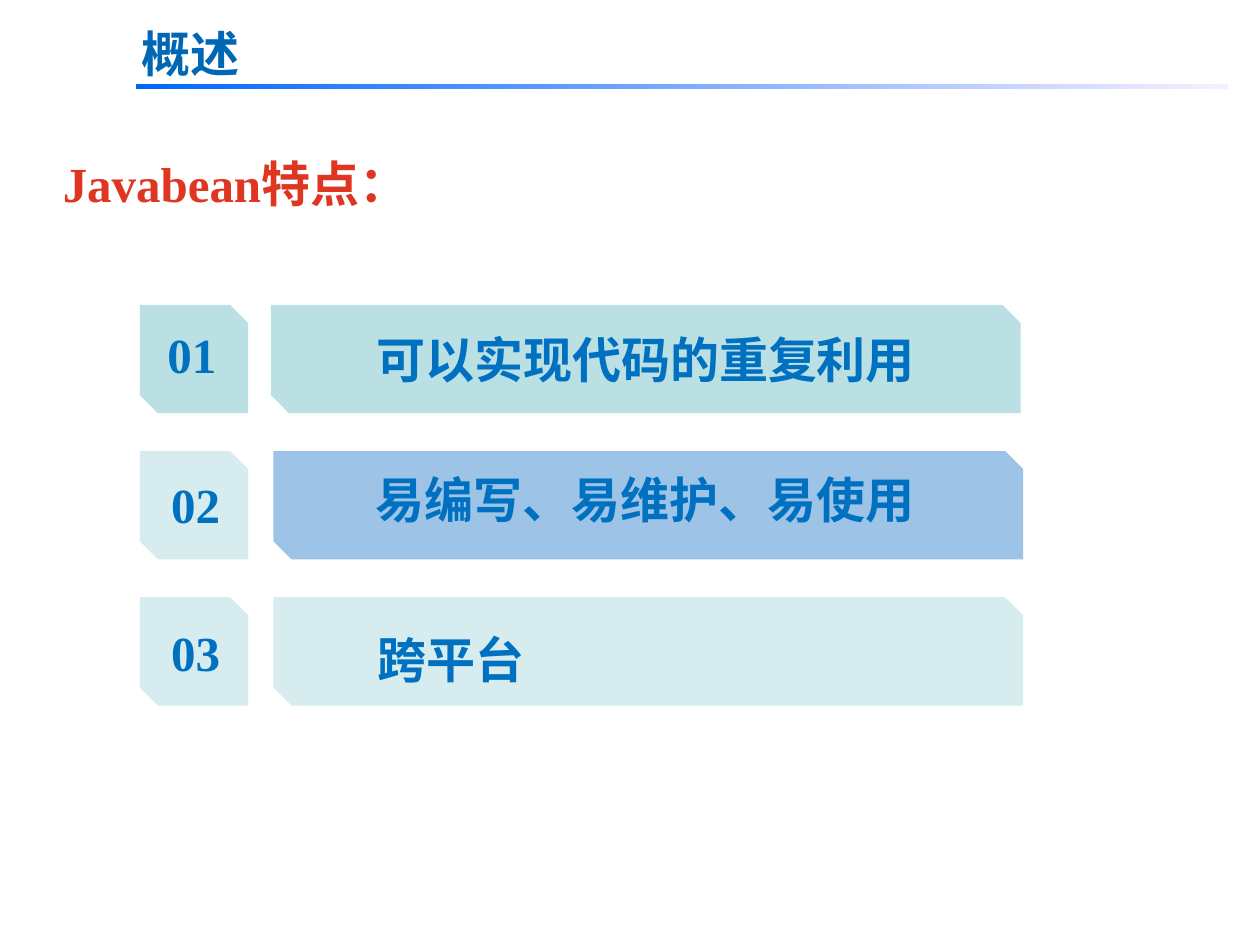
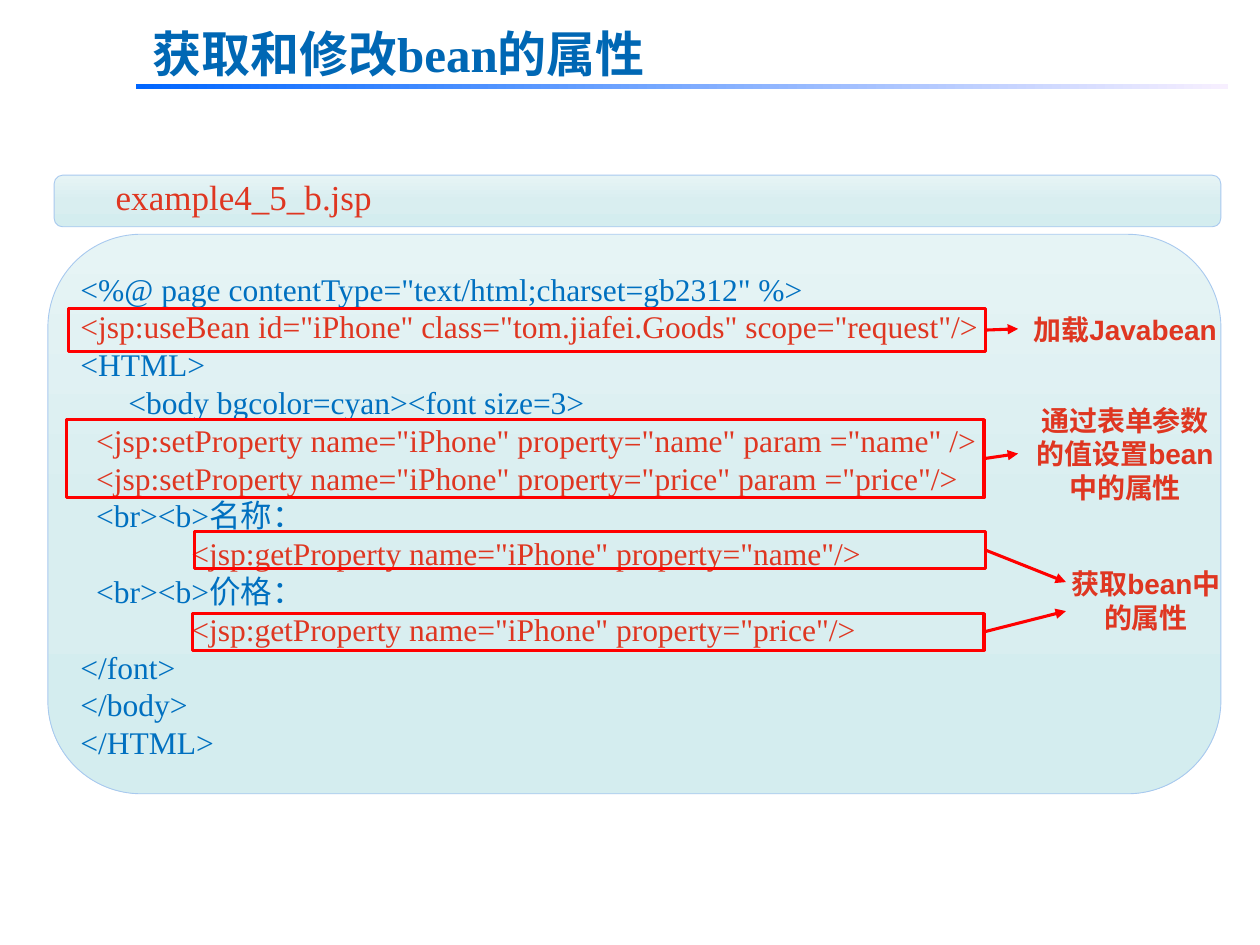
from copy import deepcopy
from dataclasses import dataclass

from lxml import etree
from pptx import Presentation, util as u
from pptx.dml.color import RGBColor
from pptx.enum import shapes, text
from pptx.oxml.ns import qn

COLORS = {
    "title": "0067B4", "blue": "0070C0", "red": "DF3621", "frame": "FF0000",
    "teal": "BBE0E3", "pale": "D6ECEE", "sky": "9DC3E6", "edge": "A8C9EF",
    "band_start": "0066FF", "band_end": "F7EFFF",
    "panel_top": "E6F4F5", "panel_middle": "D9EEF0", "panel_bottom": "D4EDEF",
}
SERIF, SANS = "Times New Roman", "Arial"
KIND, ALIGN = shapes.MSO_SHAPE, text.PP_ALIGN

# The slide is a grid of 100 columns and 75 rows
SLIDE_WIDTH, SLIDE_HEIGHT = u.Inches(10), u.Inches(7.5)
COLUMN, ROW = SLIDE_WIDTH / 100, SLIDE_HEIGHT / 75


@dataclass
class Box:
    """A region measured in grid columns and rows."""
    left: float
    top: float
    width: float
    height: float

    def inside(self, left, top, width, height):
        return Box(self.left + left, self.top + top, width, height)

    def emu(self):
        return (round(self.left * COLUMN), round(self.top * ROW),
                round(self.width * COLUMN), round(self.height * ROW))


def rgb(name):
    return RGBColor.from_string(COLORS[name])


def format_runs(paragraph, size, color, bold=False, font=SERIF):
    for run in paragraph.runs:
        run.font.size, run.font.bold, run.font.name = u.Pt(size), bold, font
        run.font.color.rgb = rgb(color)


def fill_gradient(shape, colors, angle):
    shape.fill.gradient()
    shape.fill.gradient_angle = angle
    stops = shape.fill.gradient_stops
    if len(colors) == 3:
        first = shape._element.spPr.find(".//" + qn("a:gs"))
        first.addnext(deepcopy(first))
        stops = shape.fill.gradient_stops
    for index, (stop, color) in enumerate(zip(stops, colors)):
        stop.position = index / (len(colors) - 1)
        stop.color.rgb = rgb(color)


def add_shape(slide, kind, box, fill=None, gradient=None, angle=0, line=None, line_width=0):
    shape = slide.shapes.add_shape(kind, *box.emu())
    shape.shadow.inherit = False
    if gradient:
        fill_gradient(shape, gradient, angle)
    elif fill:
        shape.fill.solid()
        shape.fill.fore_color.rgb = rgb(fill)
    else:
        shape.fill.background()
    if line:
        shape.line.color.rgb = rgb(line)
        shape.line.width = u.Pt(line_width)
    else:
        shape.line.fill.background()
    return shape


def add_text(slide, box, lines, size, color, bold=True, font=SERIF, align=ALIGN.LEFT, wrap=True):
    frame = slide.shapes.add_textbox(*box.emu()).text_frame
    frame.word_wrap = wrap
    frame.text = "\n".join(lines)
    for paragraph in frame.paragraphs:
        paragraph.alignment = align
        format_runs(paragraph, size, color, bold, font)
    return frame.paragraphs


def add_arrow(slide, start, end):
    (x1, y1), (x2, y2) = start, end
    arrow = slide.shapes.add_connector(
        shapes.MSO_CONNECTOR.STRAIGHT, round(x1 * COLUMN), round(y1 * ROW),
        round(x2 * COLUMN), round(y2 * ROW))
    arrow.line.color.rgb = rgb("frame")
    arrow.line.width = u.Pt(1.75)
    etree.SubElement(arrow.line._get_or_add_ln(), qn("a:tailEnd"), type="triangle")
    etree.SubElement(arrow._element.spPr, qn("a:effectLst"))


def add_titled_slide(presentation, title, indent=1):
    """Slide with the shared title and gradient band."""
    slide = presentation.slides.add_slide(presentation.slide_layouts[5])
    add_shape(slide, KIND.RECTANGLE, Box(10.8, 6.7, 86.7, 0.4),
              gradient=("band_start", "band_end"))
    placeholder = slide.shapes.title
    box = Box(10.2, 1.4, 50.9, 5.7).emu()
    placeholder.left, placeholder.top, placeholder.width, placeholder.height = box
    frame = placeholder.text_frame
    frame.text = title
    frame.auto_size = text.MSO_AUTO_SIZE.NONE
    frame.vertical_anchor = text.MSO_ANCHOR.TOP
    frame.margin_left = round(indent * COLUMN)
    frame.paragraphs[0].alignment = ALIGN.LEFT
    format_runs(frame.paragraphs[0], 28, "title", True)
    return slide


# Slide 1: numbered features
# number, number fill, bar fill, bar left, number offset, label, label box (None: in the bar)
FEATURES = [
    ("01", "teal", "teal", 10.4, (1.2, 1.1), "可以实现代码的重复利用", None),
    ("02", "pale", "sky", 10.6, (1.5, 1.4), "易编写、易维护、易使用", (17.4, 1, 45.4, 10.4)),
    ("03", "pale", "pale", 10.6, (1.5, 1.5), "跨平台", (17.9, -0.3, 13.8, 7.2)),
]


def add_feature(slide, row, feature):
    number, number_fill, bar_fill, bar_left, offset, label, label_box = feature
    add_shape(slide, KIND.SNIP_2_DIAG_RECTANGLE,
              row.inside(0, 0, row.height, row.height), number_fill)
    bar = add_shape(slide, KIND.SNIP_2_DIAG_RECTANGLE,
                    row.inside(bar_left, 0, 59.5, row.height), bar_fill)
    add_text(slide, row.inside(*offset, 6.9, 5.7), [number], 28, "blue", wrap=False)
    if label_box:
        align = ALIGN.CENTER if bar_fill == "sky" else ALIGN.LEFT
        paragraph = add_text(slide, row.inside(*label_box), [label], 28, "blue",
                             align=align, wrap=False)[0]
        if align == ALIGN.LEFT:
            paragraph.line_spacing = 1.5
    else:
        bar.text_frame.text = label
        bar.text_frame.vertical_anchor = text.MSO_ANCHOR.MIDDLE
        paragraph = bar.text_frame.paragraphs[0]
        paragraph.alignment = ALIGN.CENTER
        format_runs(paragraph, 28, "blue", True)


def build_features(presentation):
    slide = add_titled_slide(presentation, "概述")
    add_text(slide, Box(4, 11.7, 91.7, 6.4), ["Javabean特点："], 28, "red")
    for index, feature in enumerate(FEATURES):
        add_feature(slide, Box(11.1, 24.2 + 11.6 * index, 70.1, 8.6), feature)


# Slide 2: annotated code
CODE = """<%@ page contentType="text/html;charset=gb2312" %>
<jsp:useBean id="iPhone" class="tom.jiafei.Goods" scope="request"/>
<HTML>
\t<body bgcolor=cyan><font size=3>
  <jsp:setProperty name="iPhone" property="name" param ="name" />
  <jsp:setProperty name="iPhone" property="price" param ="price"/>
  <br><b>名称：
\t\t<jsp:getProperty name="iPhone" property="name"/>
  <br><b>价格：
\t\t<jsp:getProperty name="iPhone" property="price"/>
</font>
</body>
</HTML>""".split("\n")

# Relative to the code panel: frame box, arrow tip
HIGHLIGHTS = [
    ((1.6, 5.9, 72.8, 3.4), (77, 7.5)),
    ((1.5, 14.7, 72.8, 6.2), (77, 17.4)),
    ((11.6, 23.6, 62.8, 2.9), (80.8, 27.6)),
    ((11.5, 30.1, 62.8, 2.9), (80.8, 29.9)),
]
# Relative to the code panel: box, lines, whether they wrap
CALLOUTS = [
    ((77, 5.7, 17, 3.7), ["加载Javabean"], False),
    ((77, 12.9, 17, 9.1), ["通过表单参数的值设置bean中的属性"], True),
    ((79.7, 25.9, 14.9, 6.4), ["获取bean中", "的属性"], False),
]


def add_panel(slide, box):
    add_shape(slide, KIND.ROUNDED_RECTANGLE, box, angle=270, line="edge", line_width=0.5,
              gradient=("panel_top", "panel_middle", "panel_bottom"))


def set_hanging_indent(paragraph):
    properties = paragraph._p.get_or_add_pPr()
    properties.set("marL", str(u.Inches(0.38)))
    properties.set("indent", str(-u.Inches(0.38)))


def add_file_name(slide, box, name):
    add_panel(slide, box)
    paragraph = add_text(slide, box.inside(3.9, -0.6, 43.9, 4.5), [name], 20, "red", False)[0]
    set_hanging_indent(paragraph)
    paragraph.line_spacing = u.Pt(25)


def add_code(slide, box):
    add_panel(slide, box)
    for paragraph in add_text(slide, box.inside(1.6, 2.3, 80.9, 40.4), CODE, 18, "blue", False):
        set_hanging_indent(paragraph)
        paragraph.line_spacing = u.Pt(21.6)
        if "<jsp:" in paragraph.text:
            format_runs(paragraph, 18, "red")


def add_annotations(slide, box):
    for frame_box, (tip_left, tip_top) in HIGHLIGHTS:
        frame = box.inside(*frame_box)
        add_shape(slide, KIND.RECTANGLE, frame, line="frame", line_width=1.75)
        add_arrow(slide, (frame.left + frame.width, frame.top + frame.height / 2),
                  (box.left + tip_left, box.top + tip_top))
    for callout_box, lines, wrap in CALLOUTS:
        add_text(slide, box.inside(*callout_box), lines, 16, "red", font=SANS,
                 align=ALIGN.CENTER, wrap=wrap)


def build_code(presentation):
    slide = add_titled_slide(presentation, "获取和修改bean的属性", indent=1.9)
    add_file_name(slide, Box(4.3, 13.9, 92.6, 4.1), "example4_5_b.jsp")
    panel = Box(3.8, 18.6, 93.1, 44.4)
    add_code(slide, panel)
    add_annotations(slide, panel)


def main():
    presentation = Presentation()
    presentation.slide_width, presentation.slide_height = SLIDE_WIDTH, SLIDE_HEIGHT
    build_features(presentation)
    build_code(presentation)
    presentation.save("out.pptx")


if __name__ == "__main__":
    main()
